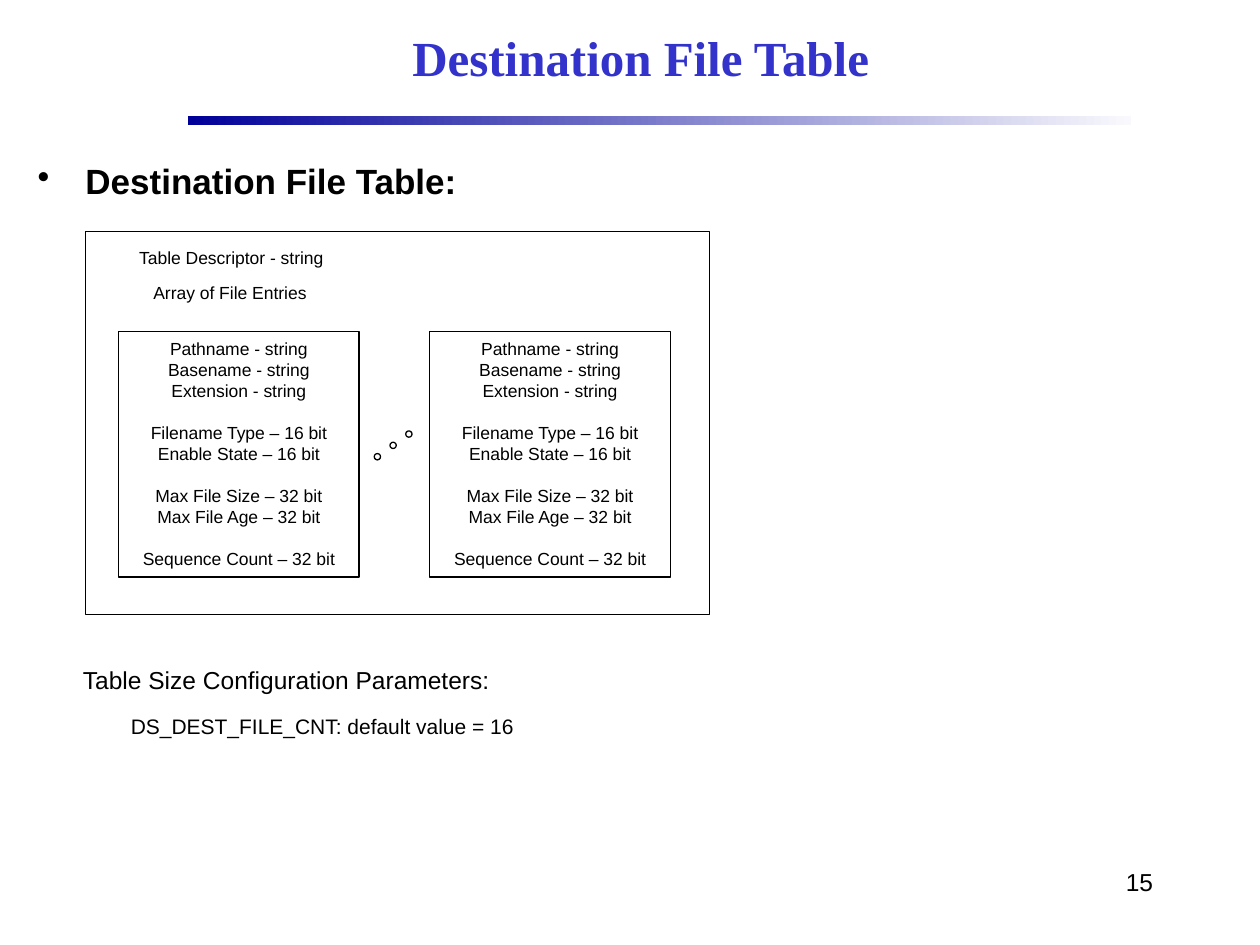
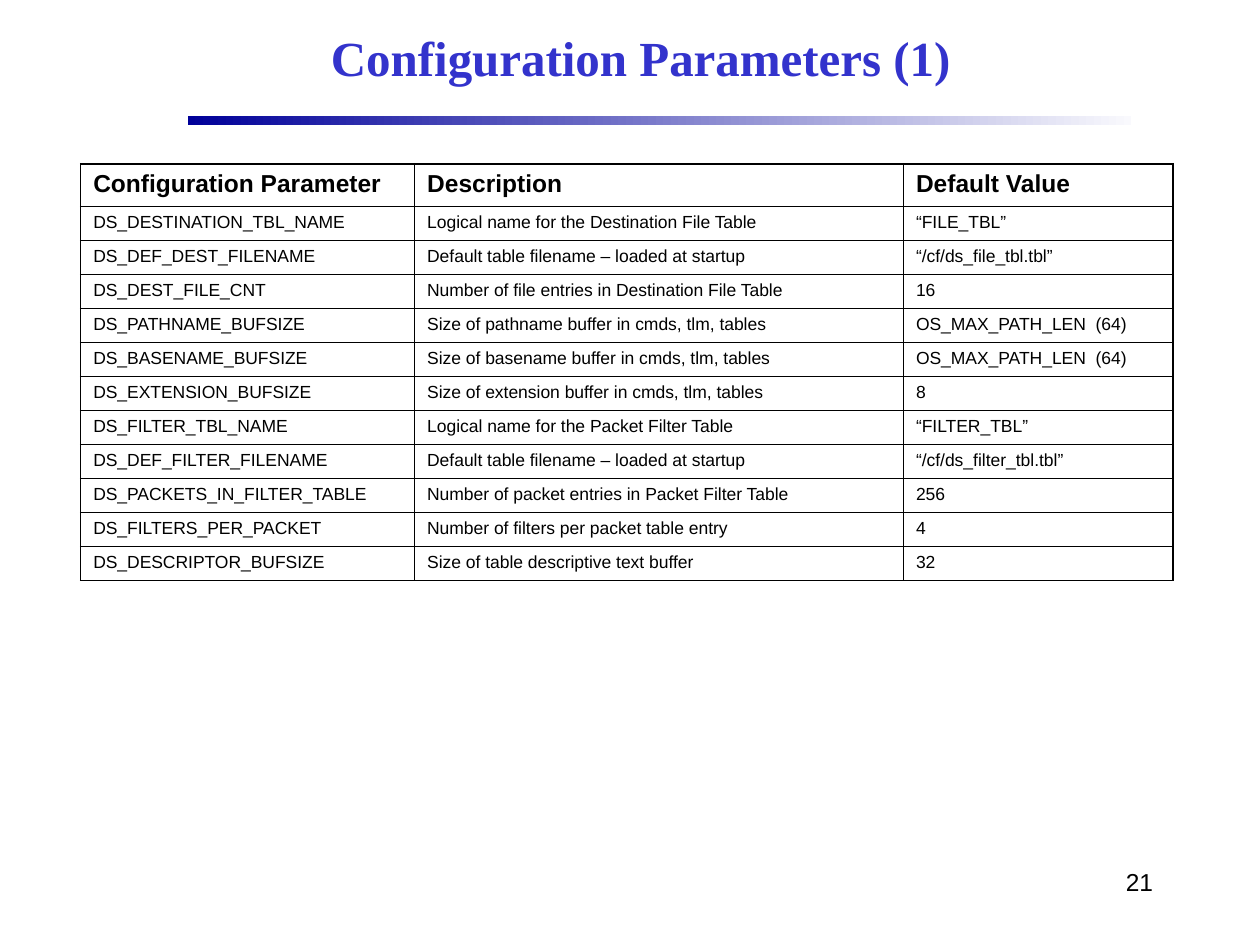
"""Build two slides on the destination file table and its configuration parameters."""
from lxml.etree import SubElement
from pptx import Presentation
from pptx.dml.color import RGBColor
from pptx.enum.shapes import MSO_SHAPE as Shape
from pptx.enum.text import MSO_ANCHOR as Anchor, PP_ALIGN as Align
from pptx.oxml import parse_xml
from pptx.oxml.ns import nsdecls, qn
from pptx.util import Inches, Pt

COLORS = {"title": "3333CC", "ink": "000000", "bar_start": "000099", "bar_end": "F9F9FD"}
BODY_FONT, TITLE_FONT = "Arial", "Times New Roman"
TITLE_BOX = (1.5, 0.08, 7.17, 0.75)
BAR_BOX = (1.49, 0.92, 7.49, 0.07)
NUMBER_BOX = (7.17, 6.83, 2.08, 0.5)

FILE_TABLE = {"title": "Destination File Table", "number": "15"}
HEADING = "Destination File Table:"
TABLE_LABELS = [
    ("Table Descriptor - string", (0.58, 1.91, 2.51, 0.27)),
    ("Array of File Entries", (0.56, 2.19, 2.53, 0.27)),
]
ENTRY_GROUPS = [
    ["Pathname - string", "Basename - string", "Extension - string"],
    ["Filename Type – 16 bit", "Enable State – 16 bit"],
    ["Max File Size – 32 bit", "Max File Age – 32 bit"],
    ["Sequence Count – 32 bit"],
]
SIZE_TITLE = "Table Size Configuration Parameters:"
SIZE_VALUE = "DS_DEST_FILE_CNT: default value = 16"
INDENT = 0.38

PARAMETERS = {"title": "Configuration Parameters (1)", "number": "21"}
COLUMN_WIDTHS = [2.65, 3.88, 2.14]
HEADER_HEIGHT, ROW_HEIGHT = 0.34, 0.27
OUTER_LINE, INNER_LINE = 1.08, 0.45
PARAMETER_ROWS = [
    ("Configuration Parameter", "Description", "Default Value"),
    ("DS_DESTINATION_TBL_NAME", "Logical name for the Destination File Table", "“FILE_TBL”"),
    ("DS_DEF_DEST_FILENAME", "Default table filename – loaded at startup", "“/cf/ds_file_tbl.tbl”"),
    ("DS_DEST_FILE_CNT", "Number of file entries in Destination File Table", "16"),
    ("DS_PATHNAME_BUFSIZE", "Size of pathname buffer in cmds, tlm, tables", "OS_MAX_PATH_LEN  (64)"),
    ("DS_BASENAME_BUFSIZE", "Size of basename buffer in cmds, tlm, tables", "OS_MAX_PATH_LEN  (64)"),
    ("DS_EXTENSION_BUFSIZE", "Size of extension buffer in cmds, tlm, tables", "8"),
    ("DS_FILTER_TBL_NAME", "Logical name for the Packet Filter Table", "“FILTER_TBL”"),
    ("DS_DEF_FILTER_FILENAME", "Default table filename – loaded at startup", "“/cf/ds_filter_tbl.tbl”"),
    ("DS_PACKETS_IN_FILTER_TABLE", "Number of packet entries in Packet Filter Table", "256"),
    ("DS_FILTERS_PER_PACKET", "Number of filters per packet table entry", "4"),
    ("DS_DESCRIPTOR_BUFSIZE", "Size of table descriptive text buffer", "32"),
]


def color(name):
    return RGBColor.from_string(COLORS[name])


def inches(box):
    return [Inches(length) for length in box]


def write(para, text, size, bold=False, align=Align.LEFT, before=0, font=BODY_FONT, ink="ink"):
    para.text = text
    para.alignment = align
    para.space_before = Pt(before)
    para.font.name, para.font.size, para.font.bold = font, Pt(size), bold
    para.font.color.rgb = color(ink)
    return para


def indent(para, left, first=0):
    properties = para._p.get_or_add_pPr()
    properties.set("marL", str(Inches(left)))
    properties.set("indent", str(Inches(first)))
    return properties


def add_text(page, box, text, size, **style):
    frame = page.shapes.add_textbox(*inches(box)).text_frame
    frame.word_wrap = True
    write(frame.paragraphs[0], text, size, **style)
    return frame


def add_outline(page, box, kind=Shape.RECTANGLE):
    outline = page.shapes.add_shape(kind, *inches(box))
    outline.shadow.inherit = False
    outline.fill.background()
    outline.line.color.rgb = color("ink")
    outline.line.width = Pt(0.75)
    return outline


def add_bar(page):
    bar = page.shapes.add_shape(Shape.RECTANGLE, *inches(BAR_BOX))
    bar.shadow.inherit = False
    bar.line.fill.background()
    bar.fill.gradient()
    bar.fill.gradient_angle = 0
    for stop, name in zip(bar.fill.gradient_stops, ("bar_start", "bar_end")):
        stop.color.rgb = color(name)


def add_page(deck, title, number):
    page = deck.slides.add_slide(deck.slide_layouts[5])
    add_bar(page)
    add_text(page, NUMBER_BOX, number, 14, align=Align.RIGHT)
    heading = page.shapes.title
    heading.left, heading.top, heading.width, heading.height = inches(TITLE_BOX)
    heading.text_frame.vertical_anchor = Anchor.MIDDLE
    write(heading.text_frame.paragraphs[0], title, 28, bold=True, align=Align.CENTER,
          font=TITLE_FONT, ink="title")
    return page


def add_entry(page, left):
    frame = add_outline(page, (left, 2.63, 1.91, 1.95)).text_frame
    frame.vertical_anchor = Anchor.TOP
    for group_index, group in enumerate(ENTRY_GROUPS):
        for line_index, line in enumerate(group):
            first = group_index == line_index == 0
            para = frame.paragraphs[0] if first else frame.add_paragraph()
            gap = 12 if group_index and not line_index else 0
            write(para, line, 10, align=Align.CENTER, before=gap)


def build_file_table(deck):
    page = add_page(deck, **FILE_TABLE)
    heading = add_text(page, (0.2, 1.22, 4.76, 0.58), HEADING, 20, bold=True, before=8.8)
    properties = indent(heading.paragraphs[0], INDENT, -INDENT)
    bullet = SubElement(properties, qn("a:buChar"))
    bullet.set("char", "•")
    properties.insert_element_before(bullet, "a:tabLst", "a:defRPr", "a:extLst")

    add_outline(page, (0.68, 1.84, 4.95, 3.04))
    for label, box in TABLE_LABELS:
        add_text(page, box, label, 10, align=Align.CENTER)
    for left in (0.94, 3.41):
        add_entry(page, left)
    for step in range(3):
        add_outline(page, (2.97 + 0.125 * step, 3.6 - 0.09 * step, 0.05, 0.05), Shape.OVAL)

    sizes = add_text(page, (0.56, 5.23, 4.93, 0.87), SIZE_TITLE, 14, before=6.1)
    indent(sizes.paragraphs[0], INDENT, -INDENT)
    value = write(sizes.add_paragraph(), SIZE_VALUE, 12, before=10.6)
    indent(value, INDENT)


def set_borders(cell, widths):
    properties = cell._tc.get_or_add_tcPr()
    for position, (side, width) in enumerate(widths.items()):
        properties.insert(position, parse_xml(
            f'<a:ln{side} {nsdecls("a")} w="{Pt(width)}"><a:solidFill>'
            f'<a:srgbClr val="{COLORS["ink"]}"/></a:solidFill></a:ln{side}>'))


def build_parameters(deck):
    page = add_page(deck, **PARAMETERS)
    last_row, last_column = len(PARAMETER_ROWS) - 1, len(COLUMN_WIDTHS) - 1
    height = HEADER_HEIGHT + ROW_HEIGHT * last_row
    table = page.shapes.add_table(last_row + 1, last_column + 1,
                                  *inches((0.64, 1.3, sum(COLUMN_WIDTHS), height))).table
    table.first_row = table.horz_banding = False
    for column, width in zip(table.columns, COLUMN_WIDTHS):
        column.width = Inches(width)
    for row_index, texts in enumerate(PARAMETER_ROWS):
        header = row_index == 0
        table.rows[row_index].height = Inches(HEADER_HEIGHT if header else ROW_HEIGHT)
        for column_index, text in enumerate(texts):
            cell = table.cell(row_index, column_index)
            cell.fill.background()
            write(cell.text_frame.paragraphs[0], text, 14 if header else 10, bold=header,
                  before=6.1 if header else 4.4)
            edges = {"L": column_index == 0, "R": column_index == last_column,
                     "T": header, "B": row_index == last_row}
            set_borders(cell, {side: OUTER_LINE if outer else INNER_LINE
                               for side, outer in edges.items()})


def main():
    deck = Presentation()
    deck.slide_width, deck.slide_height = Inches(10), Inches(7.5)
    build_file_table(deck)
    build_parameters(deck)
    deck.save("out.pptx")


if __name__ == "__main__":
    main()
